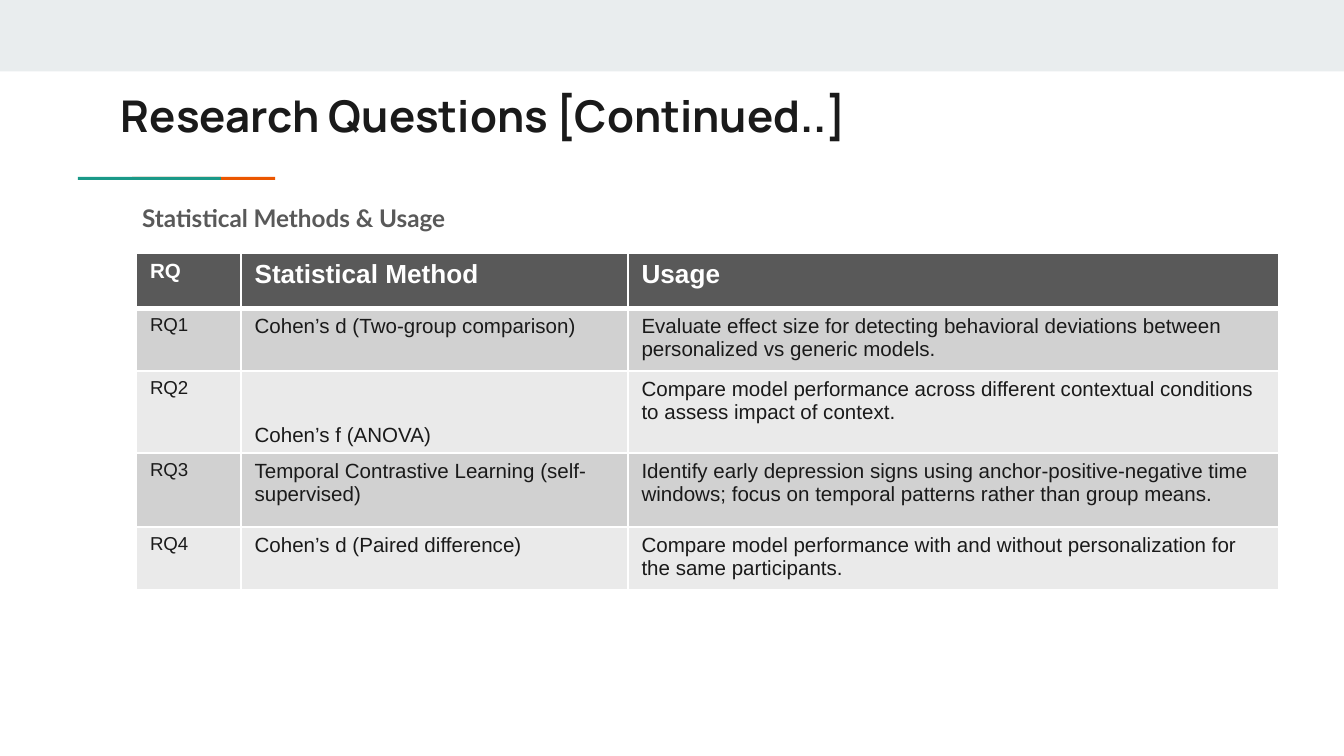
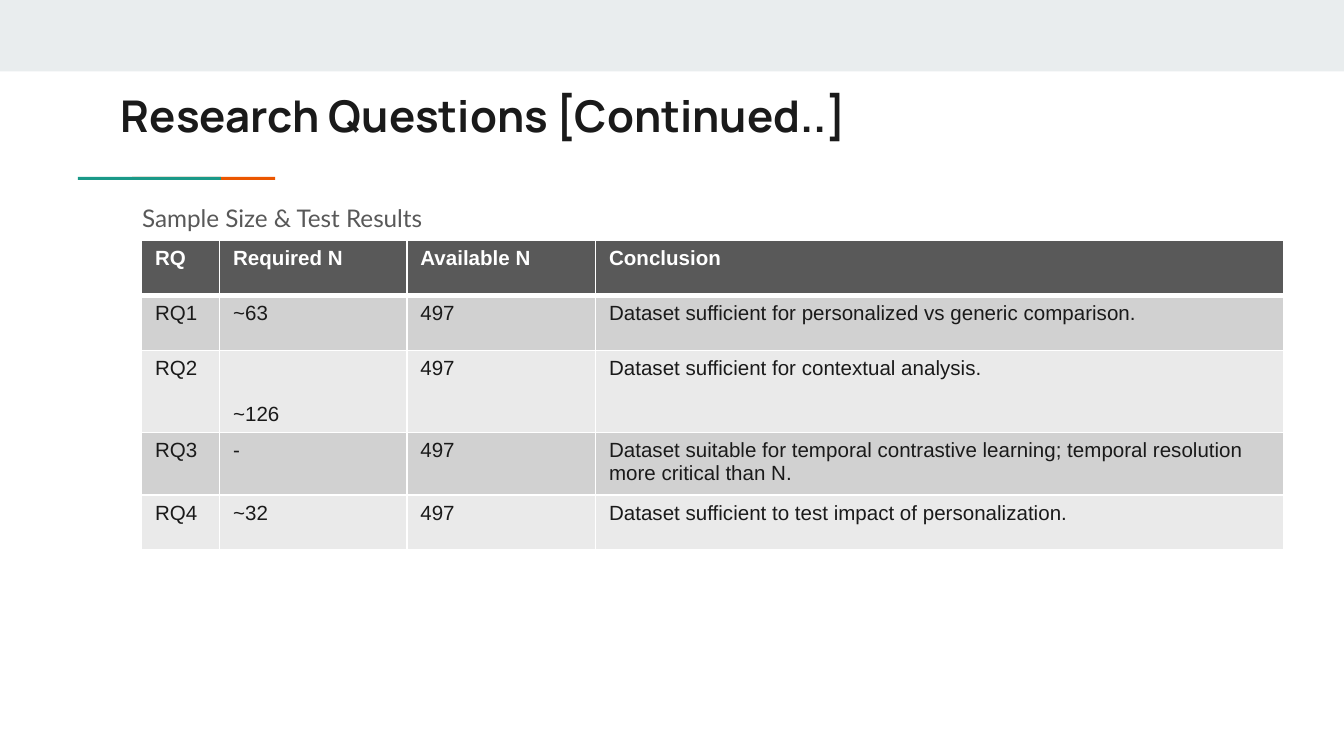
from lxml import etree
from pptx import Presentation
from pptx.dml.color import RGBColor
from pptx.enum.shapes import MSO_SHAPE
from pptx.enum.text import MSO_ANCHOR, MSO_AUTO_SIZE, PP_ALIGN
from pptx.oxml.ns import qn
from pptx.util import Pt

INK = RGBColor(0x1A, 0x1A, 0x1A)
GRAY = RGBColor(0x59, 0x59, 0x59)
WHITE = RGBColor(0xFF, 0xFF, 0xFF)
BAND = RGBColor(0xE9, 0xED, 0xEE)
TEAL = RGBColor(0x1A, 0x99, 0x88)
ORANGE = RGBColor(0xEB, 0x56, 0x00)
STRIPES = [RGBColor(0xD1, 0xD1, 0xD1), RGBColor(0xEA, 0xEA, 0xEA)]

WIDTH, HEIGHT = 720, 405
TITLE = "Research Questions [Continued..]"
DECOR = [
    ((0, 0, WIDTH, 38.3), BAND),
    ((70.8, 94.8, 76.6, 1.6), ORANGE),
    ((41.8, 94.8, 76.6, 1.6), TEAL),
]
SLIDES = [
    {
        "subtitle": "Statistical Methods & Usage",
        "subtitle_bold": True,
        "at": (73.2, 135.8),
        "cols": [56, 207.3, 348.7],
        "heights": [29.4, 31.6, 44, 39.6, 31.6],
        "header_sizes": [11, 14, 14],
        "body_sizes": [10, 11, 11],
        "rows": [
            ("RQ", "Statistical Method", "Usage"),
            ("RQ1", "Cohen’s d (Two-group comparison)",
             "Evaluate effect size for detecting behavioral deviations between "
             "personalized vs generic models."),
            ("RQ2", "Cohen’s f (ANOVA)",
             "Compare model performance across different contextual conditions "
             "to assess impact of context."),
            ("RQ3", "Temporal Contrastive Learning (self-supervised)",
             "Identify early depression signs using anchor-positive-negative time "
             "windows; focus on temporal patterns rather than group means."),
            ("RQ4", "Cohen’s d (Paired difference)",
             "Compare model performance with and without personalization for "
             "the same participants."),
        ],
    },
    {
        "subtitle": "Sample Size & Test Results",
        "subtitle_bold": False,
        "at": (75.9, 128.9),
        "cols": [41.8, 100.3, 101.1, 368.8],
        "heights": [29.4, 29.4, 44, 31.6, 29.4],
        "header_sizes": [11] * 4,
        "body_sizes": [11] * 4,
        "rows": [
            ("RQ", "Required N", "Available N", "Conclusion"),
            ("RQ1", "~63", "497",
             "Dataset sufficient for personalized vs generic comparison."),
            ("RQ2", "~126", "497", "Dataset sufficient for contextual analysis."),
            ("RQ3", "-", "497",
             "Dataset suitable for temporal contrastive learning; temporal "
             "resolution more critical than N."),
            ("RQ4", "~32", "497",
             "Dataset sufficient to test impact of personalization."),
        ],
    },
]
LOW_CELL = (2, 1)


def write(tf, text, size, color, font="Arial", bold=False, spacing=None, indent=0):
    tf.word_wrap = True
    p = tf.paragraphs[0]
    p.alignment = PP_ALIGN.LEFT
    if spacing:
        p.line_spacing = spacing
    if indent:
        pPr = p._p.get_or_add_pPr()
        pPr.set("marL", str(Pt(indent)))
        pPr.set("indent", "0")
    r = p.add_run()
    r.text = text
    r.font.name = font
    r.font.size = Pt(size)
    r.font.bold = bold
    r.font.color.rgb = color


def place(sp, left, top, width, height):
    sp.left, sp.top, sp.width, sp.height = map(Pt, (left, top, width, height))


def set_margins(tf, margin):
    tf.margin_left = tf.margin_right = tf.margin_top = tf.margin_bottom = Pt(margin)


def add_borders(cell, top, bottom):
    tcPr = cell._tc.get_or_add_tcPr()
    for tag, width in (("lnL", 1), ("lnR", 1), ("lnT", top), ("lnB", bottom)):
        ln = etree.SubElement(tcPr, qn(f"a:{tag}"), w=str(Pt(width)))
        fill = etree.SubElement(ln, qn("a:solidFill"))
        etree.SubElement(fill, qn("a:srgbClr"), val=str(WHITE))


def add_decor(s):
    for box, color in DECOR:
        sp = s.shapes.add_shape(MSO_SHAPE.RECTANGLE, *map(Pt, box))
        sp.shadow.inherit = False
        sp.fill.solid()
        sp.fill.fore_color.rgb = color
        sp.line.fill.background()


def add_title(s):
    sp = s.shapes.title
    place(sp, 57.6, 42.5, 605.5, 39.6)
    tf = sp.text_frame
    set_margins(tf, 7.2)
    tf.auto_size = MSO_AUTO_SIZE.NONE
    tf.vertical_anchor = MSO_ANCHOR.TOP
    write(tf, TITLE, 23.4, INK, font="Manrope", bold=True, spacing=0.95)


def add_subtitle(s, text, bold):
    sp = s.shapes.add_textbox(*map(Pt, (57.6, 99.4, 605.5, 271.4)))
    set_margins(sp.text_frame, 7.2)
    write(sp.text_frame, text, 13, GRAY, font="Lato", bold=bold,
          spacing=1.15, indent=11.5)


def add_grid(s, data):
    rows, cols, heights = data["rows"], data["cols"], data["heights"]
    box = (*data["at"], sum(cols), sum(heights))
    table = s.shapes.add_table(len(rows), len(cols), *map(Pt, box)).table
    for column, width in zip(table.columns, cols):
        column.width = Pt(width)
    for i, values in enumerate(rows):
        table.rows[i].height = Pt(heights[i])
        header = i == 0
        sizes = data["header_sizes"] if header else data["body_sizes"]
        for j, value in enumerate(values):
            cell = table.cell(i, j)
            add_borders(cell, 3 if i == 1 else 1, 3 if header else 1)
            cell.fill.solid()
            cell.fill.fore_color.rgb = GRAY if header else STRIPES[(i - 1) % 2]
            low = (i, j) == LOW_CELL
            cell.vertical_anchor = MSO_ANCHOR.BOTTOM if low else MSO_ANCHOR.TOP
            write(cell.text_frame, value, sizes[j], WHITE if header else INK,
                  bold=header)


def main():
    prs = Presentation()
    prs.slide_width, prs.slide_height = Pt(WIDTH), Pt(HEIGHT)
    for data in SLIDES:
        s = prs.slides.add_slide(prs.slide_layouts[5])
        add_decor(s)
        add_title(s)
        add_subtitle(s, data["subtitle"], data["subtitle_bold"])
        add_grid(s, data)
    prs.save("out.pptx")


if __name__ == "__main__":
    main()
